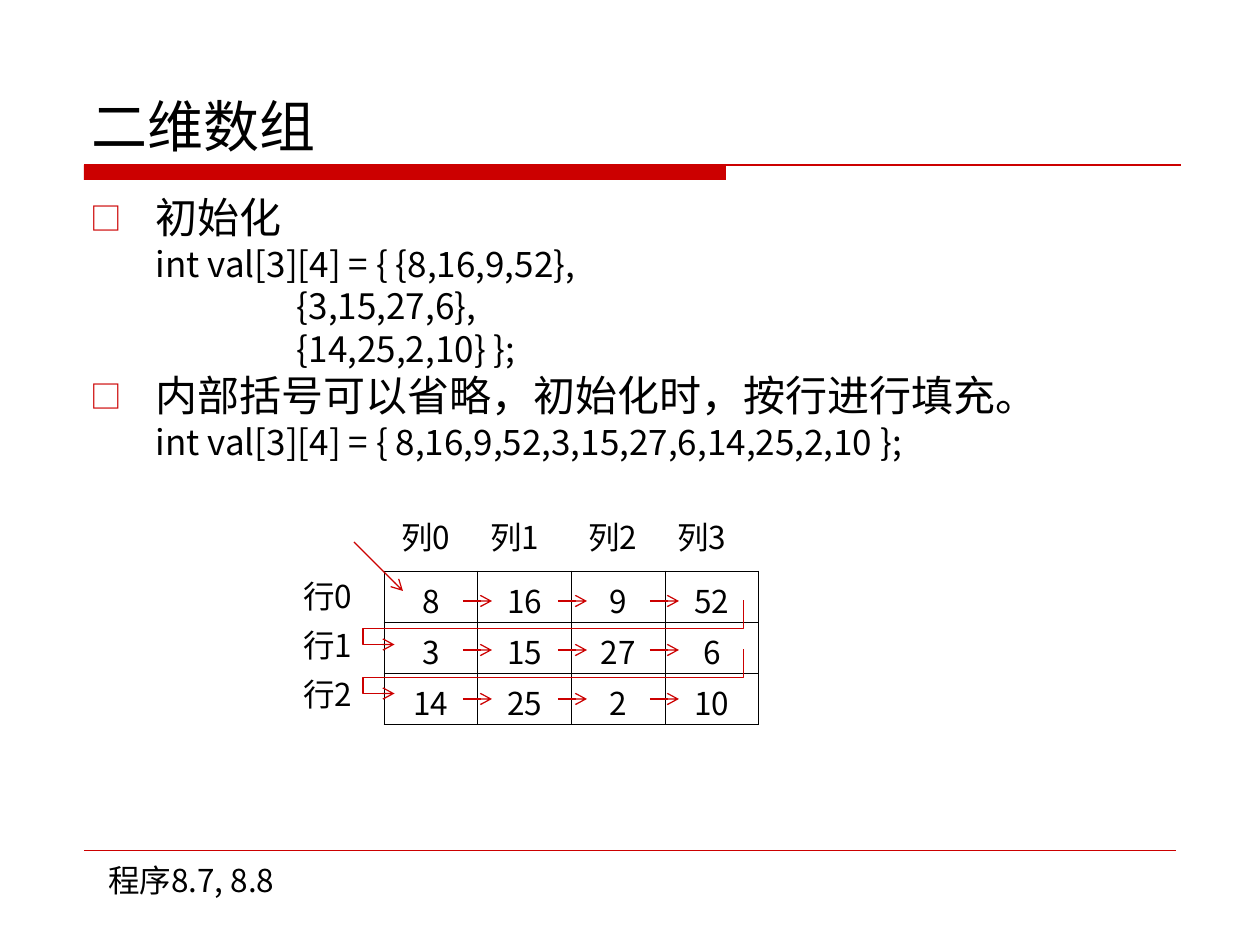
from lxml.etree import SubElement
from pptx import Presentation
from pptx.dml.color import RGBColor
from pptx.enum.shapes import MSO_CONNECTOR as CON, MSO_SHAPE as SHP
from pptx.enum.text import MSO_ANCHOR as ANC, MSO_AUTO_SIZE as FIT, PP_ALIGN as AL
from pptx.oxml.ns import qn
from pptx.util import Emu, Pt

RED = RGBColor(0xCC, 0x00, 0x00)
BLACK = RGBColor(0x00, 0x00, 0x00)
FONT = "Noto Sans CJK SC"
SCALE = 914400 / 126


def px(n):
    return Emu(round(n * SCALE))


def put_text(p, text, size=18, color=BLACK, align=AL.LEFT):
    p.alignment = align
    r = p.add_run()
    r.text = text
    r.font.size = Pt(size)
    r.font.color.rgb = color
    r.font.name = FONT
    SubElement(r._r.get_or_add_rPr(), qn("a:ea"), typeface=FONT)


class SlideBuilder:
    def __init__(self, prs):
        self.s = prs.slides.add_slide(prs.slide_layouts[1])

    def place(self, sp, x, y, w, h):
        sp.left, sp.top, sp.width, sp.height = px(x), px(y), px(w), px(h)
        tf = sp.text_frame
        tf.auto_size = FIT.NONE
        return tf

    def title(self, text, x, y, w, h):
        tf = self.place(self.s.shapes.title, x, y, w, h)
        tf.vertical_anchor = ANC.BOTTOM
        put_text(tf.paragraphs[0], text, size=32)

    def body(self, items, x, y, w, h):
        tf = self.place(self.s.placeholders[1], x, y, w, h)
        tf.vertical_anchor = ANC.TOP
        for i, (level, text) in enumerate(items):
            p = tf.paragraphs[0] if i == 0 else tf.add_paragraph()
            p.level = level
            pPr = p._p.get_or_add_pPr()
            margin, indent = ((65, -68), (126, -61))[level]
            pPr.set("marL", str(px(margin)))
            pPr.set("indent", str(px(indent)))
            if level == 0:
                clr = SubElement(pPr, qn("a:buClr"))
                SubElement(clr, qn("a:srgbClr"), val=str(RED))
                SubElement(pPr, qn("a:buSzPct"), val="75000")
                SubElement(pPr, qn("a:buFont"), typeface=FONT)
                SubElement(pPr, qn("a:buChar"), char="□")
            else:
                SubElement(pPr, qn("a:buNone"))
            p.line_spacing = 0.8 if i else 1.0
            p.space_before = Pt((6, 5)[level] if i else 0)
            put_text(p, text, size=20 if level else 24)

    def label(self, text, x, y, w=82, h=50):
        sp = self.s.shapes.add_textbox(px(x), px(y), px(w), px(h))
        sp.text_frame.word_wrap = False
        put_text(sp.text_frame.paragraphs[0], text)

    def bar(self, x, y, w, h):
        sp = self.s.shapes.add_shape(SHP.RECTANGLE, px(x), px(y), px(w), px(h))
        sp.shadow.inherit = False
        sp.fill.solid()
        sp.fill.fore_color.rgb = RED
        sp.line.fill.background()

    def line(self, x1, y1, x2, y2, width=0.75, arrow=False, kind=CON.STRAIGHT):
        c = self.s.shapes.add_connector(kind, px(x1), px(y1), px(x2), px(y2))
        c.line.color.rgb = RED
        c.line.width = Pt(width)
        if arrow:
            SubElement(c.line._get_or_add_ln(), qn("a:tailEnd"), type="arrow")
        SubElement(c._element.spPr, qn("a:effectLst"))
        return c

    def row_wrap(self, x, y, w, h):
        c = self.line(x, y, x + w, y + h, arrow=True, kind=CON.ELBOW)
        spPr = c._element.spPr
        spPr.find(qn("a:xfrm")).set("rot", "5400000")
        geom = spPr.find(qn("a:prstGeom"))
        geom.set("prst", "bentConnector4")
        av = geom.find(qn("a:avLst"))
        if av is None:
            av = SubElement(geom, qn("a:avLst"))
        for name, val in (("adj1", 63400), ("adj2", 109000)):
            SubElement(av, qn("a:gd"), name=name, fmla=f"val {val}")

    def table(self, rows, x, y, w, h):
        shape = self.s.shapes.add_table(len(rows), len(rows[0]), px(x), px(y), px(w), px(h))
        tbl = shape.table
        tbl.first_row = tbl.horz_banding = False
        for i, row in enumerate(rows):
            for j, val in enumerate(row):
                cell = tbl.cell(i, j)
                cell.margin_top, cell.margin_bottom = px(6), 0
                put_text(cell.text_frame.paragraphs[0], str(val), align=AL.CENTER)
                tcPr = cell._tc.get_or_add_tcPr()
                for side in ("L", "R", "T", "B"):
                    ln = SubElement(tcPr, qn(f"a:ln{side}"), w=str(Pt(0.45)))
                    fill = SubElement(ln, qn("a:solidFill"))
                    SubElement(fill, qn("a:srgbClr"), val=str(BLACK))
                cell.fill.background()


def main():
    prs = Presentation()
    prs.slide_width, prs.slide_height = px(1260), px(945)
    b = SlideBuilder(prs)

    b.bar(84, 165, 642, 15)
    b.line(84, 165, 1181, 165)
    b.line(84, 850, 1176, 850, width=0.25)
    b.title("二维数组", 79, 42, 1102, 123)
    b.body([
        (0, "初始化"),
        (1, "int val[3][4] = { {8,16,9,52},"),
        (1, "                  {3,15,27,6},"),
        (1, "                  {14,25,2,10} };"),
        (0, "内部括号可以省略，初始化时，按行进行填充。"),
        (1, "int val[3][4] = { 8,16,9,52,3,15,27,6,14,25,2,10 };"),
    ], 78, 185, 1102, 645)
    b.label("程序8.7, 8.8", 96, 855, w=202)

    values = [[8, 16, 9, 52], [3, 15, 27, 6], [14, 25, 2, 10]]
    b.table(values, 384, 571, 375, 153)
    for j, x in enumerate((389, 478, 576, 665)):
        b.label(f"列{j}", x, 512)

    b.line(354, 542, 403, 591, arrow=True)
    step = 49
    for i in range(len(values)):
        b.label(f"行{i}", 291, 571 + i * step)
        y = 601 + i * step
        for x in (463, 558, 650):
            b.line(x, y, x + 29, y, arrow=True)
        if i < len(values) - 1:
            b.row_wrap(547, 448 + i * step, 44, 349)

    prs.save("out.pptx")


if __name__ == "__main__":
    main()
